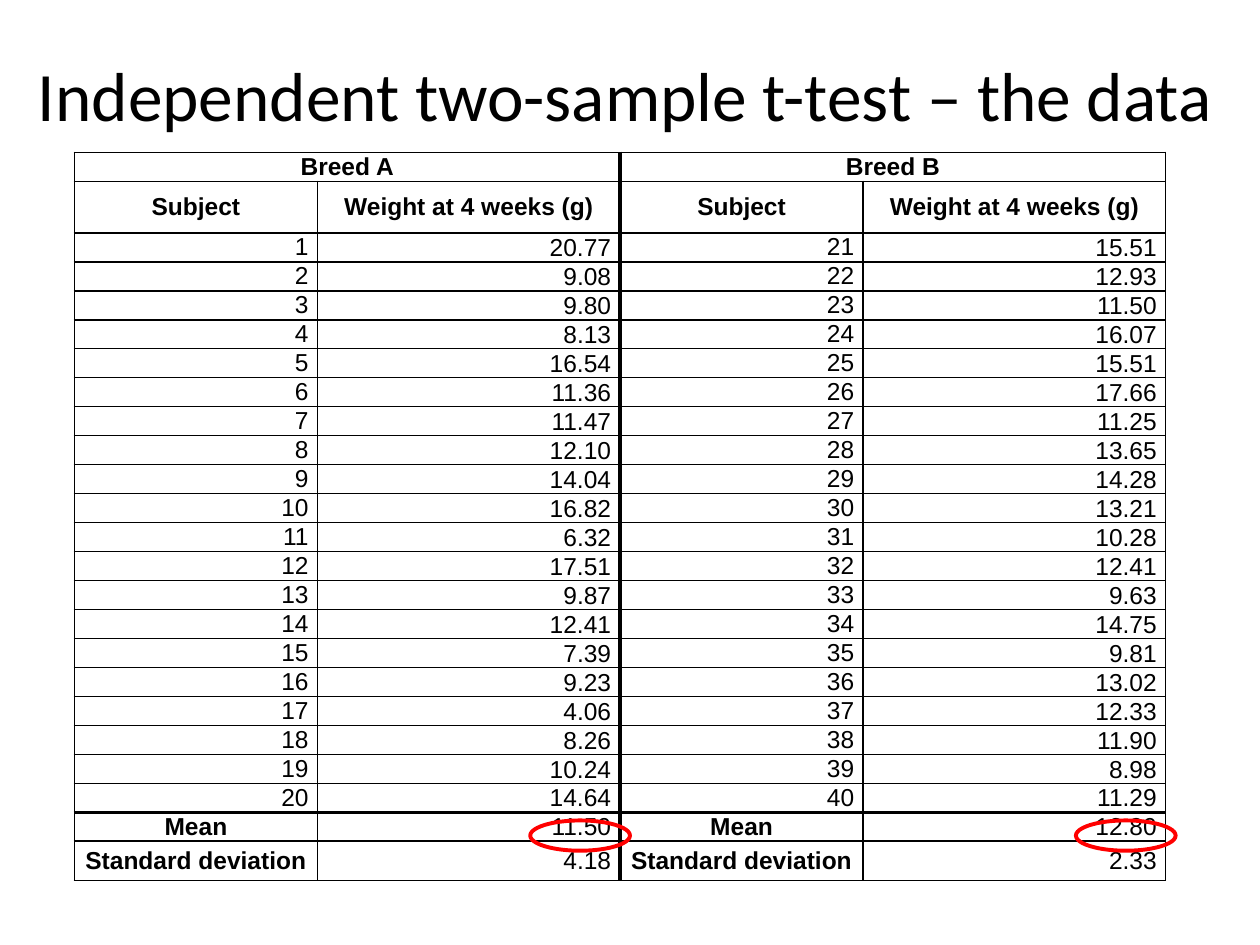
import dataclasses

import pptx
import pptx.dml.color
import pptx.enum.shapes
import pptx.enum.text
import pptx.oxml.xmlchemy
import pptx.util
from lxml import etree
from pptx.oxml.ns import qn

Cm = pptx.util.Cm
Pt = pptx.util.Pt
Align = pptx.enum.text.PP_ALIGN
Anchor = pptx.enum.text.MSO_ANCHOR


@dataclasses.dataclass(frozen=True)
class Theme:
    ink: str = "000000"
    highlight: str = "FF0000"
    title_font: str = "Calibri"
    table_font: str = "Arial"
    title_size: float = 39.6
    table_size: float = 14
    thin: float = 1
    thick: float = 2.25


THEME = Theme()

BREED_A = """20.77 9.08 9.80 8.13 16.54 11.36 11.47 12.10 14.04 16.82
6.32 17.51 9.87 12.41 7.39 9.23 4.06 8.26 10.24 14.64""".split()
BREED_B = """15.51 12.93 11.50 16.07 15.51 17.66 11.25 13.65 14.28 13.21
10.28 12.41 9.63 14.75 9.81 13.02 12.33 11.90 8.98 11.29""".split()

HEADER_ROWS = 2
MEAN_ROW = HEADER_ROWS + len(BREED_A)
COLUMN_WIDTHS = [Cm(4.9), Cm(6.1)] * 2
HALF_WIDTH = Cm(11)
ROW_HEIGHT = int(Cm(12.86) / 22)


def apply_format(target, values):
    for name, value in values.items():
        setattr(target, name, value)


def format_font(font, name, size, bold=False):
    apply_format(font, {"name": name, "size": Pt(size), "bold": bold})
    font.color.rgb = pptx.dml.color.RGBColor.from_string(THEME.ink)


def build_rows():
    rows = [["Breed A", "", "Breed B", ""], ["Subject", "Weight at 4 weeks (g)"] * 2]
    for subject, (weight_a, weight_b) in enumerate(zip(BREED_A, BREED_B), start=1):
        rows.append([str(subject), weight_a, str(subject + len(BREED_A)), weight_b])
    rows.append(["Mean", "11.50", "Mean", "12.80"])
    rows.append(["Standard deviation", "4.18", "Standard deviation", "2.33"])
    return rows


def set_borders(cell, row, column):
    thick_sides = {
        "lnL": column == 2,
        "lnR": column == 1 or (row == 0 and column == 0),
        "lnT": row == MEAN_ROW,
        "lnB": row == MEAN_ROW - 1,
    }
    properties = cell._tc.get_or_add_tcPr()
    for side, is_thick in thick_sides.items():
        width = Pt(THEME.thick if is_thick else THEME.thin)
        line = etree.SubElement(properties, qn(f"a:{side}"), w=str(width))
        fill = etree.SubElement(line, qn("a:solidFill"))
        etree.SubElement(fill, qn("a:srgbClr"), val=THEME.ink)


def format_cell(cell, text, row, column):
    is_label = column % 2 == 0
    is_data = HEADER_ROWS <= row < MEAN_ROW
    is_heading = row < HEADER_ROWS or (is_label and not is_data)
    set_borders(cell, row, column)
    cell.fill.background()
    apply_format(cell, {
        "margin_left": Cm(0.18),
        "margin_right": Cm(0.18),
        "margin_top": 0,
        "margin_bottom": 0,
        "vertical_anchor": Anchor.BOTTOM if is_data and not is_label else Anchor.MIDDLE,
    })
    paragraph = cell.text_frame.paragraphs[0]
    apply_format(paragraph, {
        "text": text,
        "alignment": Align.CENTER if is_heading else Align.RIGHT,
    })
    format_font(paragraph.font, THEME.table_font, THEME.table_size, is_heading)
    for run in paragraph.runs:
        format_font(run.font, THEME.table_font, THEME.table_size, is_heading)


def add_data_table(slide):
    rows = build_rows()
    heights = [ROW_HEIGHT] * len(rows)
    heights[1] = Cm(1.04)
    heights[-1] = Cm(0.79)
    frame = slide.shapes.add_table(
        len(rows), len(COLUMN_WIDTHS), Cm(1.5), Cm(3.07), HALF_WIDTH * 2, sum(heights)
    )
    table = frame.table
    apply_format(table, {"first_row": False, "horz_banding": False})
    for column, width in zip(table.columns, COLUMN_WIDTHS):
        column.width = width
    for row, height in zip(table.rows, heights):
        row.height = height
    for row, texts in enumerate(rows):
        for column, text in enumerate(texts):
            format_cell(table.cell(row, column), text, row, column)
    for column in (0, 2):
        table.cell(0, column).merge(table.cell(0, column + 1))


def format_title(slide, text):
    title = slide.shapes.title
    apply_format(title, {
        "left": Cm(0.51), "top": Cm(1.19), "width": Cm(24.89), "height": Cm(3.18),
    })
    apply_format(title.text_frame, {
        "text": text,
        "word_wrap": True,
        "auto_size": pptx.enum.text.MSO_AUTO_SIZE.NONE,
        "vertical_anchor": Anchor.TOP,
        "margin_top": Cm(0.05),
    })
    paragraph = title.text_frame.paragraphs[0]
    apply_format(paragraph, {"alignment": Align.LEFT, "line_spacing": 0.9})
    format_font(paragraph.runs[0].font, THEME.title_font, THEME.title_size)


def add_highlight(slide, left):
    shape = slide.shapes.add_shape(
        pptx.enum.shapes.MSO_SHAPE.OVAL, left, Cm(16.54), Cm(2.01), Cm(0.61)
    )
    shape.shadow.inherit = False
    shape.fill.background()
    shape.line.width = Pt(THEME.thick)
    shape.line.color.rgb = pptx.dml.color.RGBColor.from_string(THEME.highlight)


def main():
    presentation = pptx.Presentation()
    apply_format(presentation, {"slide_width": Cm(25.4), "slide_height": Cm(19.05)})
    slide = presentation.slides.add_slide(presentation.slide_layouts[5])
    format_title(slide, "Independent two-sample t-test – the data")
    add_data_table(slide)
    for half in range(2):
        add_highlight(slide, Cm(10.69) + half * HALF_WIDTH)
    presentation.save("out.pptx")


if __name__ == "__main__":
    main()
